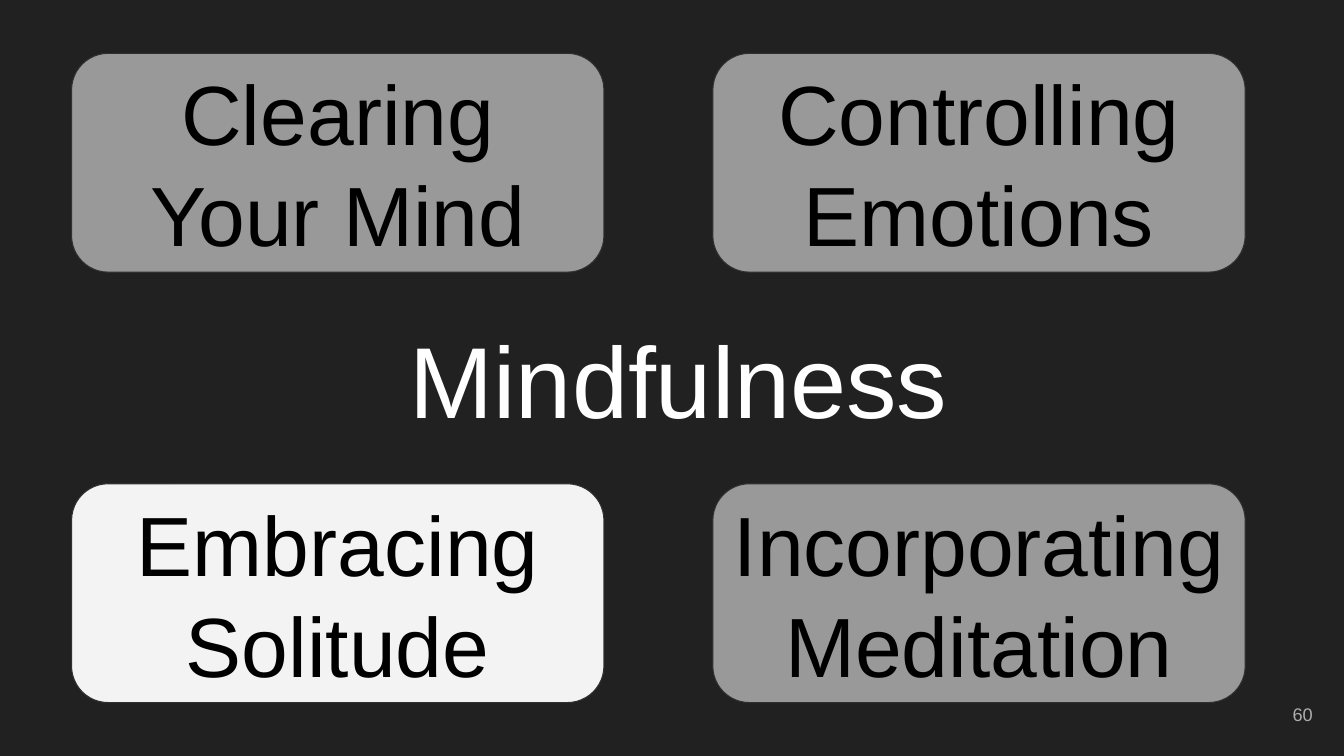
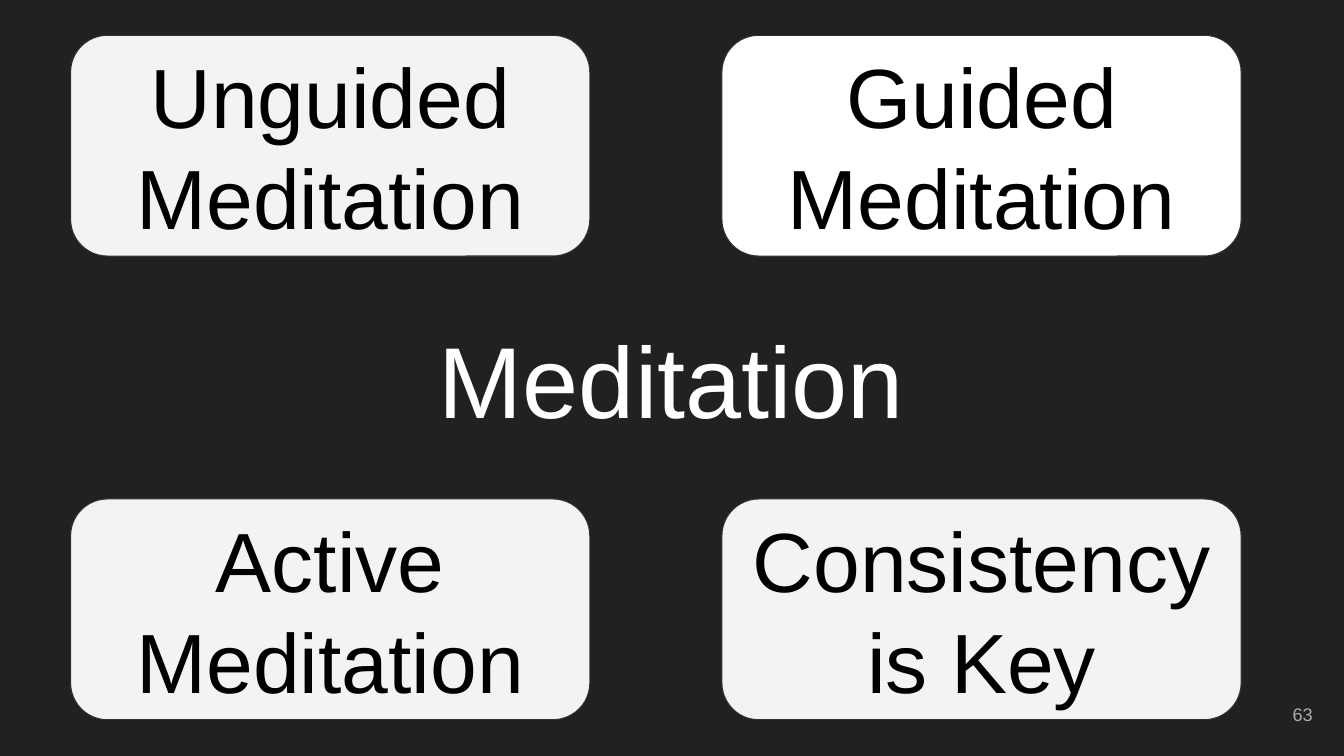
"""Build two dark slides, each a title framed by four rounded cards."""
from pptx import Presentation
from pptx.dml.color import RGBColor
from pptx.enum.shapes import MSO_SHAPE
from pptx.enum.text import MSO_ANCHOR, PP_ALIGN
from pptx.util import Inches, Pt

ROUND = MSO_SHAPE.ROUNDED_RECTANGLE
MIDDLE = MSO_ANCHOR.MIDDLE
CENTER, RIGHT = PP_ALIGN.CENTER, PP_ALIGN.RIGHT
FONT = "Arial"
COLORS = {
    "back": "212121", "title": "FFFFFF", "page": "ADADAD", "text": "000000",
    "edge": "303030", "dim": "999999", "light": "F3F3F3", "white": "FFFFFF",
}
SLIDES = [
    {
        "title": "Mindfulness", "left": 0.52, "page": "60",
        "cols": (0.71, 7.07), "rows": (0.53, 4.8), "size": (5.28, 2.17),
        "cards": [
            ("Clearing Your Mind", "dim"), ("Controlling Emotions", "dim"),
            ("Embracing Solitude", "light"), ("Incorporating Meditation", "dim"),
        ],
    },
    {
        "title": "Meditation", "left": 0.45, "page": "63",
        "cols": (0.7, 7.16), "rows": (0.35, 4.95), "size": (5.15, 2.19),
        "cards": [
            ("Unguided Meditation", "light"), ("Guided Meditation", "white"),
            ("Active Meditation", "light"), ("Consistency is Key", "light"),
        ],
    },
]


def color(name):
    return RGBColor.from_string(COLORS[name])


def write(shape, text, size, tint, align=CENTER, inset=0.13):
    frame = shape.text_frame
    frame.word_wrap = True
    frame.vertical_anchor = MIDDLE
    frame.margin_left = frame.margin_right = Inches(inset)
    frame.margin_top = frame.margin_bottom = Inches(inset)
    frame.text = text
    para = frame.paragraphs[0]
    para.alignment = align
    para.font.name = FONT
    para.font.size = Pt(size)
    para.font.color.rgb = color(tint)


def add_card(slide, box, text, fill):
    card = slide.shapes.add_shape(ROUND, *map(Inches, box))
    card.adjustments[0] = 0.167
    card.shadow.inherit = False
    card.fill.solid()
    card.fill.fore_color.rgb = color(fill)
    card.line.color.rgb = color("edge")
    card.line.width = Pt(0.75)
    write(card, text, 60, "text", inset=0.1)


def add_slide(deck, data):
    slide = deck.slides.add_slide(deck.slide_layouts[5])
    slide.background.fill.solid()
    slide.background.fill.fore_color.rgb = color("back")
    title = slide.shapes.title
    title.left, title.top = Inches(data["left"]), Inches(3.14)
    title.width, title.height = Inches(12.42), Inches(1.23)
    write(title, data["title"], 72, "title")
    spots = [(x, y) for y in data["rows"] for x in data["cols"]]
    for spot, (text, fill) in zip(spots, data["cards"]):
        add_card(slide, spot + data["size"], text, fill)
    page = slide.shapes.add_textbox(*map(Inches, (12.35, 6.8, 0.8, 0.57)))
    write(page, data["page"], 13, "page", RIGHT)


def main():
    deck = Presentation()
    deck.slide_width, deck.slide_height = Inches(13.33), Inches(7.5)
    for data in SLIDES:
        add_slide(deck, data)
    deck.save("out.pptx")


if __name__ == "__main__":
    main()
